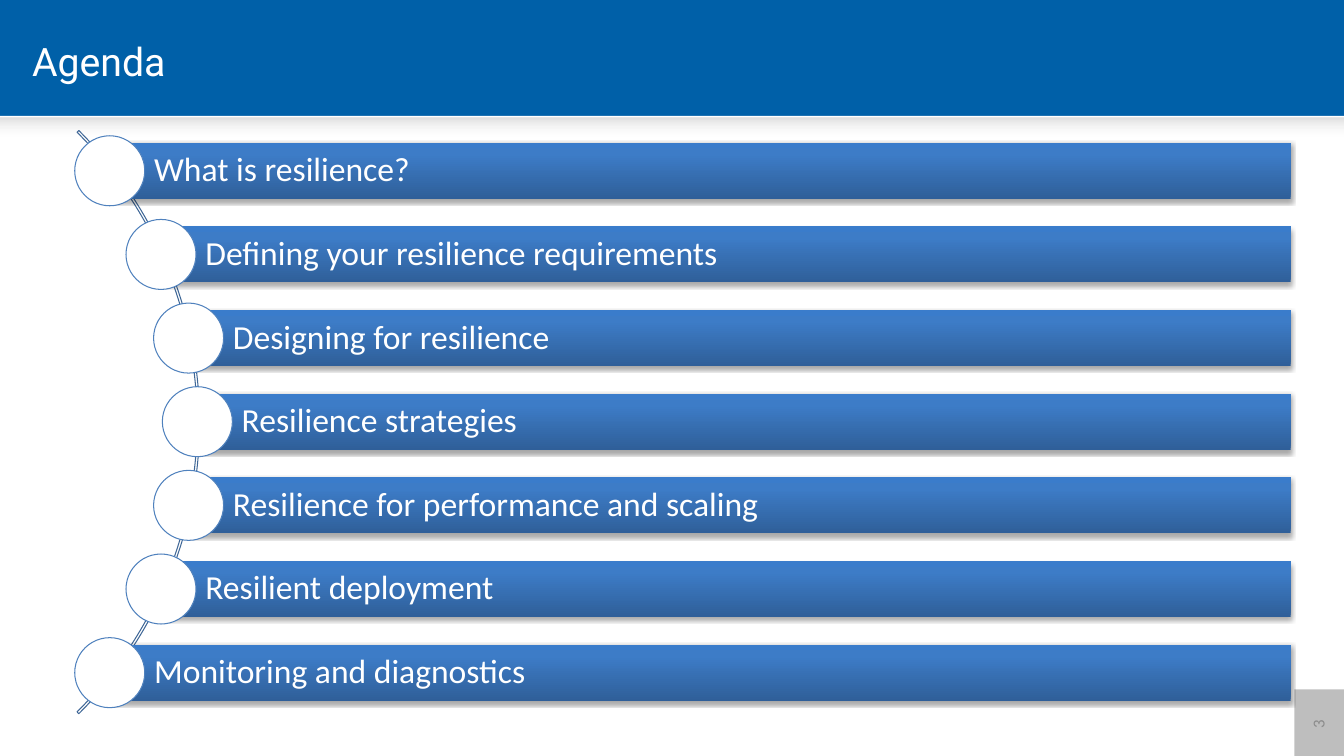
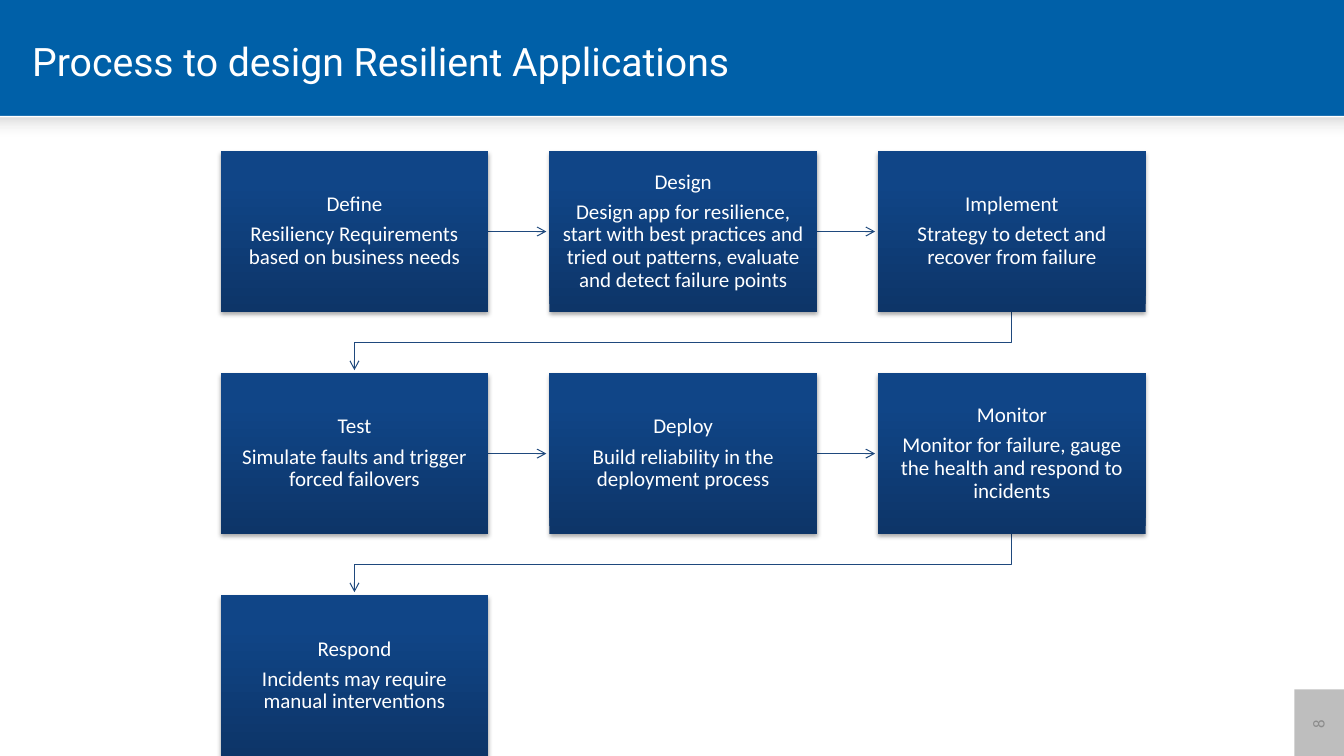
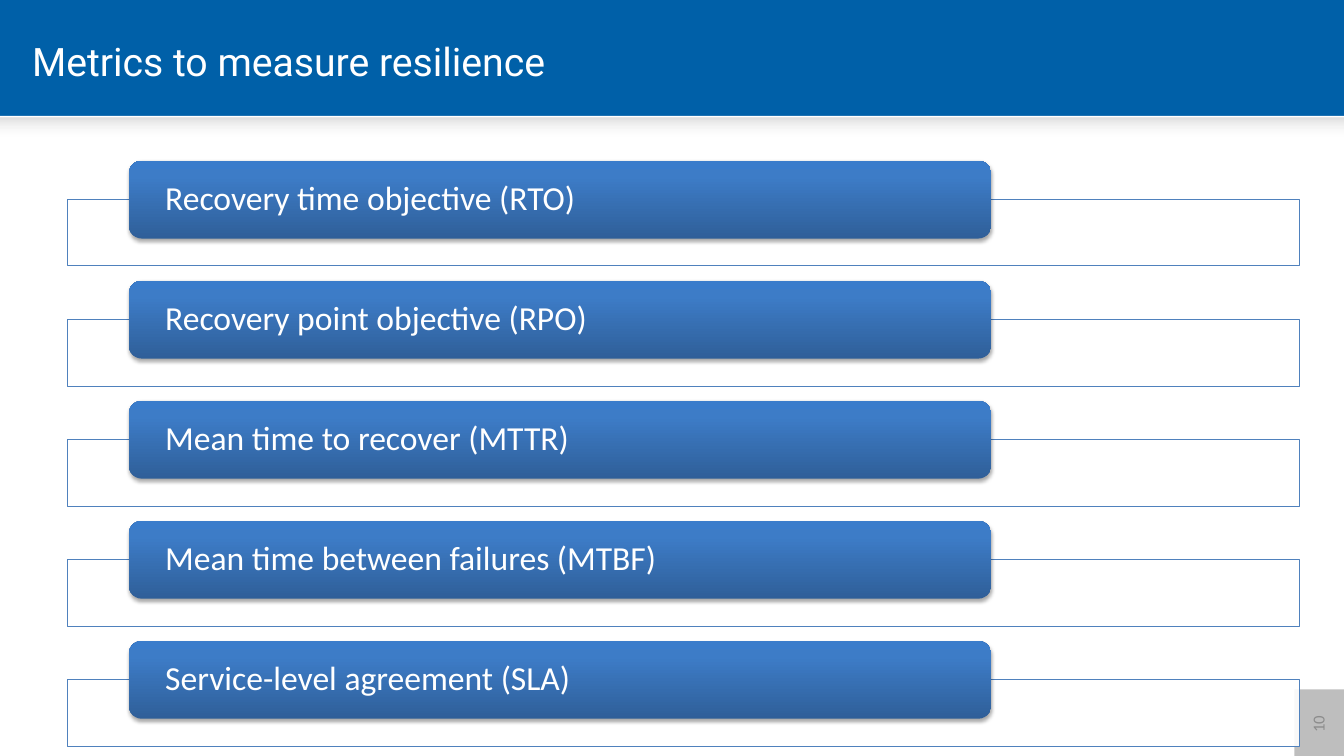
from dataclasses import dataclass
from math import sqrt
from typing import NamedTuple

from lxml.etree import SubElement
from pptx import Presentation
from pptx.dml.color import RGBColor
from pptx.enum.shapes import MSO_CONNECTOR, MSO_SHAPE
from pptx.enum.text import MSO_ANCHOR, MSO_AUTO_SIZE, PP_ALIGN
from pptx.oxml.ns import qn
from pptx.util import Pt

SLIDE_WIDTH, SLIDE_HEIGHT = 960, 540
TITLE_ONLY = 5
TITLE_FONT, BODY_FONT = "Roboto", "Calibri"
COLORS = {
    "brand": "0060A8",
    "white": "FFFFFF",
    "number_tab": "7F7F7F",
    "number_text": "8C8C8C",
    "arc": "3F6797",
    "outline": "4F81BD",
    "arrow": "1F497D",
    "shadow": "000000",
}


class Stop(NamedTuple):
    position: int
    color: str
    opacity: int = 100


class Step(NamedTuple):
    heading: str
    detail: str


@dataclass(frozen=True)
class Box:
    left: float
    top: float
    width: float
    height: float

    @property
    def right(self) -> float:
        return self.left + self.width

    @property
    def bottom(self) -> float:
        return self.top + self.height

    @property
    def center_x(self) -> float:
        return self.left + self.width / 2

    @property
    def center_y(self) -> float:
        return self.top + self.height / 2


BRIGHT_BLUE = [Stop(0, "2F5F99"), Stop(80, "3D7CC7"), Stop(100, "3A7CCB")]
DEEP_BLUE = [Stop(0, "0D3568"), Stop(80, "104587"), Stop(100, "0E458A")]
HEADER_SHADE = [Stop(0, "000000", 13), Stop(48, "E3E3E3", 0), Stop(66, "FFFFFF", 0)]

AGENDA = [
    "What is resilience?",
    "Defining your resilience requirements",
    "Designing for resilience",
    "Resilience strategies",
    "Resilience for performance and scaling",
    "Resilient deployment",
    "Monitoring and diagnostics",
]
STEPS = [
    Step("Define", "Resiliency Requirements based on business needs"),
    Step("Design", "Design app for resilience, start with best practices and "
                   "tried out patterns, evaluate and detect failure points"),
    Step("Implement", "Strategy to detect and recover from failure"),
    Step("Test", "Simulate faults and trigger forced failovers"),
    Step("Deploy", "Build reliability in the deployment process"),
    Step("Monitor", "Monitor for failure, gauge the health and respond to incidents"),
    Step("Respond", "Incidents may require manual interventions"),
]
METRICS = [
    "Recovery time objective (RTO)",
    "Recovery point objective (RPO)",
    "Mean time to recover (MTTR)",
    "Mean time between failures (MTBF)",
    "Service-level agreement (SLA)",
]


def rgb(name: str) -> RGBColor:
    return RGBColor.from_string(COLORS[name])


def add_plain_shape(slide, kind, box: Box, fill=None, outline=None, opacity=100):
    """Add a shape without shadow; without a fill or outline name it has none."""
    shape = slide.shapes.add_shape(
        kind, Pt(box.left), Pt(box.top), Pt(box.width), Pt(box.height))
    shape.shadow.inherit = False
    if fill:
        shape.fill.solid()
        shape.fill.fore_color.rgb = rgb(fill)
        if opacity < 100:
            color = shape.element.spPr.find(qn("a:solidFill"))[0]
            SubElement(color, qn("a:alpha"), val=str(opacity * 1000))
    else:
        shape.fill.background()
    if outline:
        shape.line.color.rgb = rgb(outline)
        shape.line.width = Pt(0.75)
    else:
        shape.line.fill.background()
    return shape


def fill_gradient(shape, stops: list[Stop], angle: int) -> None:
    """Fill with a linear gradient; the angle runs counter-clockwise."""
    shape.fill.gradient()
    shape.fill.gradient_angle = angle
    stop_list = shape.element.spPr.find(qn("a:gradFill")).find(qn("a:gsLst"))
    stop_list.clear()
    for stop in stops:
        entry = SubElement(stop_list, qn("a:gs"), pos=str(stop.position * 1000))
        color = SubElement(entry, qn("a:srgbClr"), val=stop.color)
        if stop.opacity < 100:
            SubElement(color, qn("a:alpha"), val=str(stop.opacity * 1000))


def add_raised_shape(slide, kind, box: Box, stops: list[Stop]):
    """Add a shape with an upward gradient and a soft shadow below."""
    shape = add_plain_shape(slide, kind, box)
    fill_gradient(shape, stops, 90)
    effects = shape.element.spPr.find(qn("a:effectLst"))
    shadow = SubElement(
        effects, qn("a:outerShdw"), blurRad=str(Pt(3.1)), dist=str(Pt(1.8)),
        dir="5400000", rotWithShape="0")
    color = SubElement(shadow, qn("a:srgbClr"), val=COLORS["shadow"])
    SubElement(color, qn("a:alpha"), val="35000")
    return shape


def write_text(shape, lines: list[str], size: float, insets: tuple[float, float],
               alignment=PP_ALIGN.LEFT, color="white") -> None:
    """Write paragraphs, centred in height; insets are horizontal and vertical."""
    frame = shape.text_frame
    frame.word_wrap = True
    frame.vertical_anchor = MSO_ANCHOR.MIDDLE
    frame.margin_left = frame.margin_right = Pt(insets[0])
    frame.margin_top = frame.margin_bottom = Pt(insets[1])
    frame.text = "\n".join(lines)
    for paragraph in frame.paragraphs:
        paragraph.alignment = alignment
        paragraph.line_spacing = 0.9
        paragraph.font.name = BODY_FONT
        paragraph.font.size = Pt(size)
        paragraph.font.color.rgb = rgb(color)
    for paragraph in frame.paragraphs[:-1]:
        paragraph.space_after = Pt(0.35 * size)


def add_titled_slide(presentation, title: str, number: int):
    """Add a slide with the shared header, body panel and page number."""
    slide = presentation.slides.add_slide(presentation.slide_layouts[TITLE_ONLY])
    placeholder = slide.shapes.title
    placeholder.left, placeholder.top = Pt(15.8), Pt(12.2)
    placeholder.width, placeholder.height = Pt(817), Pt(62.6)
    frame = placeholder.text_frame
    frame.text = title
    frame.auto_size = MSO_AUTO_SIZE.NONE
    frame.vertical_anchor = MSO_ANCHOR.MIDDLE
    paragraph = frame.paragraphs[0]
    paragraph.alignment = PP_ALIGN.LEFT
    paragraph.font.name = TITLE_FONT
    paragraph.font.size = Pt(28)
    paragraph.font.color.rgb = rgb("white")

    panel_top = 82.8
    add_plain_shape(slide, MSO_SHAPE.RECTANGLE,
                    Box(0, panel_top, SLIDE_WIDTH, SLIDE_HEIGHT - panel_top), "white")
    shade = add_plain_shape(slide, MSO_SHAPE.RECTANGLE, Box(0, 84, SLIDE_WIDTH, 30))
    fill_gradient(shade, HEADER_SHADE, 270)
    number_tab = add_plain_shape(slide, MSO_SHAPE.RECTANGLE,
                                 Box(917.4, 499.6, 49.7, 35.3), "number_tab", opacity=50)
    number_tab.rotation = 270
    write_text(number_tab, [str(number)], 12, (7.2, 3.6), PP_ALIGN.CENTER, "number_text")
    return slide


def style_arrow(line) -> None:
    line.color.rgb = rgb("arrow")
    line.width = Pt(0.75)
    SubElement(line._get_or_add_ln(), qn("a:tailEnd"), type="arrow")


def add_straight_arrow(slide, start: Box, end: Box, gap: float) -> None:
    connector = slide.shapes.add_connector(
        MSO_CONNECTOR.STRAIGHT, Pt(start.right), Pt(start.center_y),
        Pt(end.left - gap), Pt(end.center_y))
    style_arrow(connector.line)
    SubElement(connector.element.spPr, qn("a:effectLst"))


def add_row_break_arrow(slide, start: Box, end: Box, gap: float) -> None:
    """Lead from the bottom of one box to the top of a box in the next row."""
    middle = (start.bottom + end.top) / 2
    corners = [(start.center_x, middle), (end.center_x, middle),
               (end.center_x, end.top - gap)]
    builder = slide.shapes.build_freeform(Pt(start.center_x), Pt(start.bottom))
    builder.add_line_segments([(Pt(x), Pt(y)) for x, y in corners], close=False)
    route = builder.convert_to_shape()
    route.shadow.inherit = False
    route.fill.background()
    style_arrow(route.line)


def build_agenda(presentation) -> None:
    slide = add_titled_slide(presentation, "Agenda", 3)
    arc = add_plain_shape(slide, MSO_SHAPE.BLOCK_ARC, Box(-446.4, 7, 589, 589),
                          outline="arc")
    for index, value in enumerate((189, 27, 0.003)):
        arc.adjustments[index] = value

    hub_x, radius, pitch = -147, 288, 59.75
    first_y, bar_right, bar_height, dot = 122, 922, 40, 50
    middle_row = (len(AGENDA) - 1) / 2
    for row, topic in enumerate(AGENDA):
        y = first_y + row * pitch
        x = hub_x + sqrt(radius ** 2 - ((row - middle_row) * pitch) ** 2)
        bar = add_raised_shape(slide, MSO_SHAPE.RECTANGLE,
                               Box(x, y - bar_height / 2, bar_right - x, bar_height),
                               BRIGHT_BLUE)
        write_text(bar, [topic], 24, (31.7, 5))
        add_plain_shape(slide, MSO_SHAPE.OVAL, Box(x - dot / 2, y - dot / 2, dot, dot),
                        "white", "outline")


def build_process(presentation) -> None:
    slide = add_titled_slide(presentation, "Process to design Resilient Applications", 8)
    columns, arrow_gap = 3, 2.2
    boxes = [Box(157.7 + index % columns * 234.8, 108 + index // columns * 158.6, 191, 114.8)
             for index in range(len(STEPS))]
    for start, end in zip(boxes, boxes[1:]):
        add_arrow = add_straight_arrow if start.top == end.top else add_row_break_arrow
        add_arrow(slide, start, end, arrow_gap)
    for box, step in zip(boxes, STEPS):
        card = add_raised_shape(slide, MSO_SHAPE.RECTANGLE, box, DEEP_BLUE)
        write_text(card, list(step), 15, (8.4, 8.4), PP_ALIGN.CENTER)


def build_metrics(presentation) -> None:
    slide = add_titled_slide(presentation, "Metrics to measure resilience", 10)
    for row, metric in enumerate(METRICS):
        top = 114.8 + row * 85.75
        add_plain_shape(slide, MSO_SHAPE.RECTANGLE, Box(48, top + 27.6, 880, 47.6),
                        "white", "outline", opacity=90)
        label = add_raised_shape(slide, MSO_SHAPE.ROUNDED_RECTANGLE,
                                 Box(92, top, 616, 55.6), BRIGHT_BLUE)
        write_text(label, [metric], 24, (23.3, 0))


def main() -> None:
    presentation = Presentation()
    presentation.slide_width, presentation.slide_height = Pt(SLIDE_WIDTH), Pt(SLIDE_HEIGHT)
    background = presentation.slide_master.background.fill
    background.solid()
    background.fore_color.rgb = rgb("brand")
    build_agenda(presentation)
    build_process(presentation)
    build_metrics(presentation)
    presentation.save("out.pptx")


if __name__ == "__main__":
    main()
